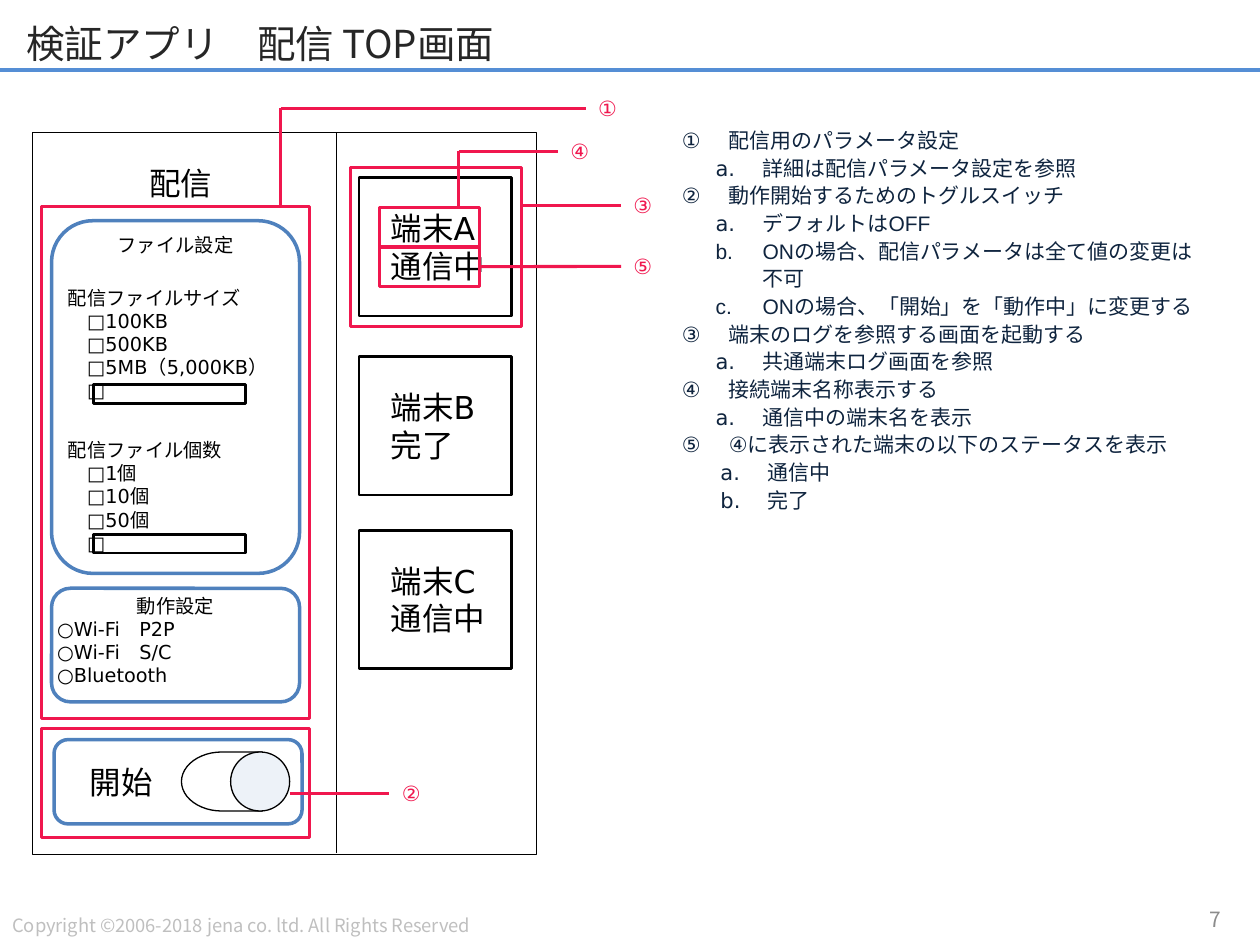
import pptx
import pptx.dml.color
import pptx.enum.dml
import pptx.enum.shapes
import pptx.enum.text
import pptx.oxml.ns
import pptx.util
from dataclasses import dataclass
from lxml import etree

Cm = pptx.util.Cm
Pt = pptx.util.Pt
SHAPES = pptx.enum.shapes.MSO_SHAPE
ALIGN = pptx.enum.text.PP_ALIGN
ANCHOR = pptx.enum.text.MSO_ANCHOR


@dataclass(frozen=True)
class Theme:
    white: str = "FFFFFF"
    black: str = "000000"
    blue: str = "4F81BD"
    rule: str = "558ED5"
    red: str = "F0174E"
    navy: str = "0F243E"
    title: str = "262626"
    knob: str = "EDF2F8"
    copyright: str = "BFBFBF"
    page: str = "8C8C8C"
    ui_font: str = "DejaVu Sans"
    note_font: str = "Arial"
    frame_font: str = "Noto Sans CJK JP"
    title_size: float = 22
    large: float = 18
    note: float = 12
    small: float = 11
    footer: float = 10.5
    thin: float = 0.75
    medium: float = 1.5
    callout: float = 1.75
    panel: float = 2


THEME = Theme()

TITLE = "検証アプリ　配信 TOP画面"
COPYRIGHT = "Copyright ©2006-2018\u00a0jena co. ltd. All Rights Reserved"
PAGE_NUMBER = "7"

NOTES = [
    ("配信用のパラメータ設定", ["詳細は配信パラメータ設定を参照"]),
    ("動作開始するためのトグルスイッチ", [
        "デフォルトはOFF",
        "ONの場合、配信パラメータは全て値の変更は不可",
        "ONの場合、「開始」を「動作中」に変更する",
    ]),
    ("端末のログを参照する画面を起動する", ["共通端末ログ画面を参照"]),
    ("接続端末名称表示する", ["通信中の端末名を表示"]),
    ("④に表示された端末の以下のステータスを表示", ["通信中", "完了"]),
]
TERMINALS = [
    (3.58, ["端末A", "通信中"]),
    (7.19, ["端末B", "完了"]),
    (10.69, ["端末C", "通信中"]),
]
FILE_OPTIONS = [
    (5.77, 7.75, "配信ファイルサイズ", ["□100KB", "□500KB", "□5MB（5,000KB）", "□"]),
    (8.84, 10.77, "配信ファイル個数", ["□1個", "□10個", "□50個", "□"]),
]
ACTIONS = ["○Wi-Fi　P2P", "○Wi-Fi　S/C", "○Bluetooth"]
MARKED_AREAS = {
    "parameters": (0.84, 4.17, 5.41, 10.31),
    "switch": (0.84, 14.68, 5.41, 2.21),
    "terminal": (7.06, 3.38, 3.45, 3.2),
    "name": (7.65, 4.19, 2.01, 0.79),
    "status": (7.65, 4.98, 2.01, 0.79),
}
CALLOUTS = [
    ("①", [(5.66, 4.17), (5.66, 2.18), (11.81, 2.18)], None),
    ("②", [(5.84, 16), (7.85, 16)], None),
    ("③", [(10.51, 4.14), (12.52, 4.14)], None),
    ("④", [(9.25, 4.19), (9.25, 3.05), (11.25, 3.05)], None),
    ("⑤", [(9.66, 5.37), (12.52, 5.37)], "status"),
]

deck = pptx.Presentation()
deck.slide_width, deck.slide_height = Cm(25.4), Cm(19.05)
page = deck.slides.add_slide(deck.slide_layouts[1])


def rgb(value):
    return pptx.dml.color.RGBColor.from_string(value)


def write(frame, text, *, size=THEME.small, color=THEME.black, font=THEME.ui_font,
          align=ALIGN.LEFT, indent=0, hanging=0, level=0, bullet=None, spacing=1):
    para = frame.add_paragraph() if frame.text else frame.paragraphs[0]
    properties = para._p.get_or_add_pPr()
    properties.set("marL", str(int(indent)))
    properties.set("indent", str(-int(hanging)))
    if bullet:
        number = etree.SubElement(properties, pptx.oxml.ns.qn("a:buAutoNum"))
        number.set("type", bullet)
    para.level, para.alignment = level, align
    para.line_spacing, para.space_before = spacing, Pt(0)
    span = para.add_run()
    span.text = text
    span.font.size, span.font.name = Pt(size), font
    span.font.color.rgb = rgb(color)
    east_asian = etree.SubElement(span._r.rPr, pptx.oxml.ns.qn("a:ea"))
    east_asian.set("typeface", THEME.frame_font if font == THEME.frame_font else THEME.ui_font)


def place(box, area):
    box.left, box.top, box.width, box.height = [Cm(value) for value in area]


def add_box(kind, area, fill=None, line=None, weight=THEME.thin, anchor=ANCHOR.TOP):
    box = page.shapes.add_shape(kind, *[Cm(value) for value in area])
    box.shadow.inherit = False
    if fill:
        box.fill.solid()
        box.fill.fore_color.rgb = rgb(fill)
    else:
        box.fill.background()
    if line:
        box.line.color.rgb = rgb(line)
        box.line.width = Pt(weight)
    else:
        box.line.fill.background()
    frame = box.text_frame
    frame.margin_left = frame.margin_right = frame.margin_top = frame.margin_bottom = 0
    frame.vertical_anchor, frame.word_wrap = anchor, True
    return box


def add_panel(area, line=THEME.blue, anchor=ANCHOR.TOP):
    kind = SHAPES.FLOWCHART_ALTERNATE_PROCESS
    return add_box(kind, area, THEME.white, line, THEME.panel, anchor).text_frame


def add_line(start, end, color, weight):
    points = [Cm(value) for value in (*start, *end)]
    line = page.shapes.add_connector(pptx.enum.shapes.MSO_CONNECTOR.STRAIGHT, *points)
    line.line.color.rgb, line.line.width = rgb(color), Pt(weight)
    etree.SubElement(line._element.spPr, pptx.oxml.ns.qn("a:effectLst"))
    return line


def add_label(area, text, wrap=False, anchor=ANCHOR.TOP, **style):
    box = page.shapes.add_textbox(*[Cm(value) for value in area])
    box.text_frame.word_wrap, box.text_frame.vertical_anchor = wrap, anchor
    write(box.text_frame, text, **style)


def add_page_frame():
    add_line((0, 1.42), (25.4, 1.42), THEME.rule, 2.25)
    add_label((0, 18.31, 10.74, 0.71), COPYRIGHT, size=THEME.footer,
              color=THEME.copyright, font=THEME.frame_font)
    add_label((22.63, 18.01, 2.24, 1.02), PAGE_NUMBER, wrap=True, anchor=ANCHOR.MIDDLE,
              size=THEME.note, color=THEME.page, font=THEME.frame_font, align=ALIGN.RIGHT)
    title = page.shapes.title
    place(title, (0.28, 0.23, 24.84, 1.27))
    title.text_frame.vertical_anchor = ANCHOR.MIDDLE
    write(title.text_frame, TITLE, size=THEME.title_size, color=THEME.title, font=THEME.frame_font)


def add_notes():
    body = page.placeholders[1]
    place(body, (13.49, 2.39, 10.95, 8.71))
    frame = body.text_frame
    frame.auto_size = pptx.enum.text.MSO_AUTO_SIZE.NONE
    style = dict(size=THEME.note, color=THEME.navy, font=THEME.note_font,
                 hanging=Cm(0.95), spacing=1.1)
    for heading, details in NOTES:
        write(frame, heading, indent=Cm(0.95), bullet="circleNumDbPlain", **style)
        indent = Cm(1.73) if heading == NOTES[-1][0] else Cm(1.63)
        for detail in details:
            write(frame, detail, indent=indent, level=1, bullet="alphaLcPeriod", **style)


def add_app_screen():
    add_box(SHAPES.RECTANGLE, (0.66, 2.67, 10.16, 14.55), THEME.white, THEME.black, 0.25)
    add_line((6.78, 2.67), (6.78, 17.2), THEME.black, THEME.thin)
    heading = add_panel((1.24, 3.02, 4.8, 1.35), line=None, anchor=ANCHOR.MIDDLE)
    write(heading, "配信", size=THEME.large, align=ALIGN.CENTER)
    write(add_panel((1.04, 4.45, 5, 7.11)), "ファイル設定", align=ALIGN.CENTER)
    for top, input_top, name, options in FILE_OPTIONS:
        frame = add_box(SHAPES.FLOWCHART_PROCESS, (1.37, top, 4.47, 2.62)).text_frame
        write(frame, name)
        for option in options:
            write(frame, option, indent=Pt(THEME.small))
        add_box(SHAPES.FLOWCHART_PROCESS, (1.88, input_top, 3.07, 0.38),
                line=THEME.black, weight=THEME.medium)
    actions = add_panel((1.04, 11.86, 5, 2.29))
    write(actions, "動作設定", align=ALIGN.CENTER)
    for action in ACTIONS:
        write(actions, action)
    start = add_panel((1.09, 14.91, 5, 1.7), anchor=ANCHOR.MIDDLE)
    write(start, "開始", size=THEME.large, indent=Pt(THEME.large))
    track = add_box(SHAPES.FLOWCHART_DELAY, (3.66, 15.16, 1.63, 1.19), THEME.white, THEME.black)
    track._element.spPr.xfrm.set("flipH", "1")
    add_box(SHAPES.OVAL, (4.65, 15.16, 1.19, 1.19), THEME.knob, THEME.black)
    for top, lines in TERMINALS:
        terminal = add_box(SHAPES.FLOWCHART_PROCESS, (7.24, top, 3.07, 2.79),
                           line=THEME.black, weight=THEME.medium, anchor=ANCHOR.MIDDLE)
        for text in lines:
            write(terminal.text_frame, text, size=THEME.large, indent=Pt(THEME.large))


def add_callouts():
    marks = {name: add_box(SHAPES.RECTANGLE, area, line=THEME.red, weight=THEME.callout)
             for name, area in MARKED_AREAS.items()}
    for number, points, joined in CALLOUTS:
        for start, end in zip(points, points[1:]):
            line = add_line(start, end, THEME.red, THEME.callout)
            if joined:
                line.begin_connect(marks[joined], 3)
        left, middle = points[-1]
        add_label((left, middle - 0.38, 0.94, 0.76), number, size=THEME.note,
                  color=THEME.red, font=THEME.note_font)


add_page_frame()
add_notes()
add_app_screen()
add_callouts()
deck.save("out.pptx")
